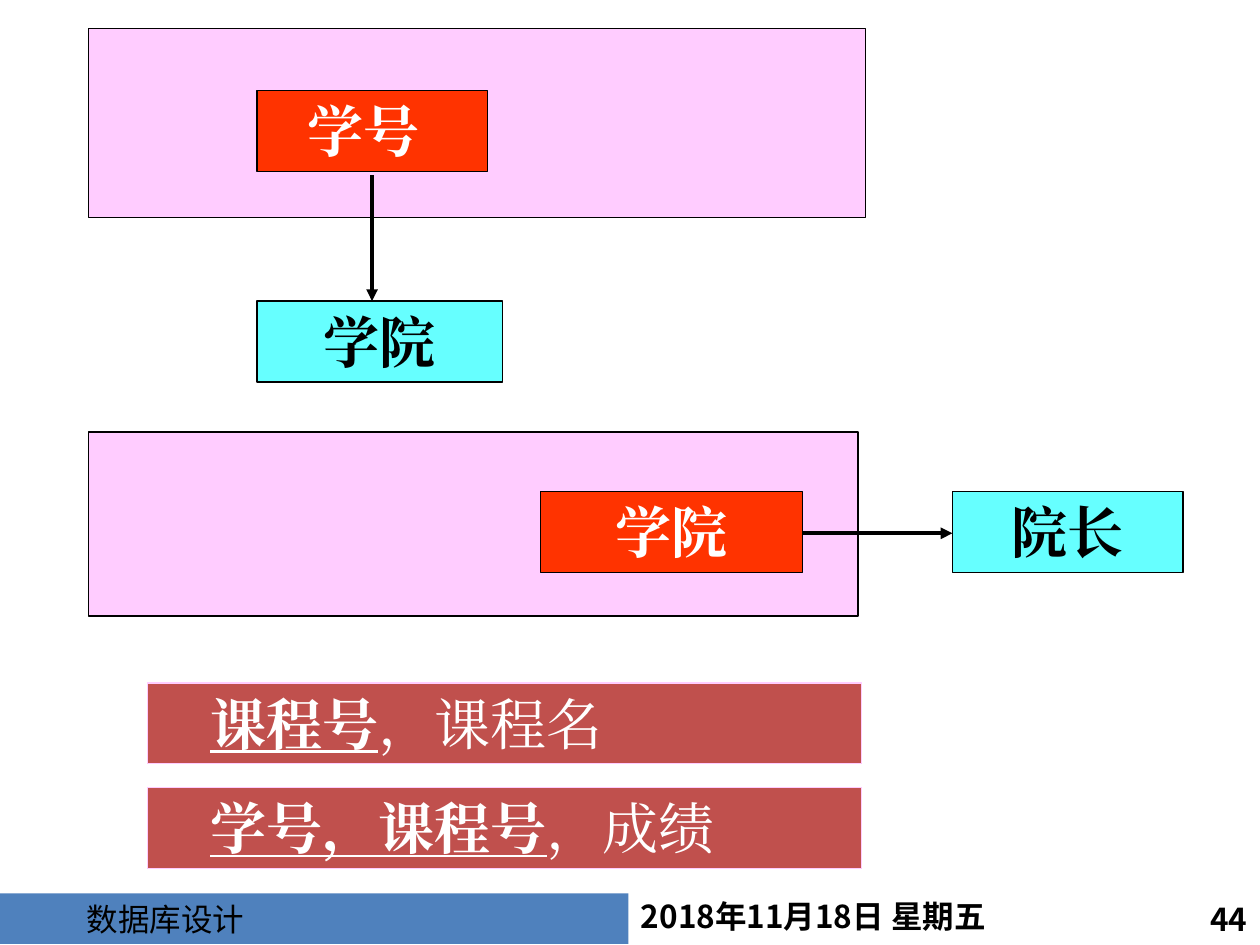
import lxml.etree
import pptx
import pptx.dml.color
import pptx.enum.shapes
import pptx.enum.text
import pptx.oxml.ns
import pptx.util

Cm = pptx.util.Cm
Pt = pptx.util.Pt
qn = pptx.oxml.ns.qn
ALIGN = pptx.enum.text.PP_ALIGN

COLORS = {
    "panel": "FFCCFF",
    "key": "FF3300",
    "dependent": "66FFFF",
    "relation": "C0504D",
    "footer": "4F81BD",
    "black": "000000",
    "white": "FFFFFF",
}
BOX_H = 1.63
BODY = {"name": "Times New Roman", "size": Pt(32)}
FOOTER = {"name": "Noto Sans CJK SC", "size": Pt(18), "bold": True}
FOOTER_TITLE = {"name": "Noto Sans CJK JP", "size": Pt(18), "bold": False}


def rgb(name):
    return pptx.dml.color.RGBColor.from_string(COLORS[name])


class Sheet:
    """Holds the current slide and the way its elements are styled."""

    def __init__(self, slide):
        self.s = slide

    def box(self, x, y, w, h, fill, line="black"):
        sp = self.s.shapes.add_shape(
            pptx.enum.shapes.MSO_SHAPE.RECTANGLE, Cm(x), Cm(y), Cm(w), Cm(h))
        sp.shadow.inherit = False
        sp.fill.solid()
        sp.fill.fore_color.rgb = rgb(fill)
        if line:
            sp.line.color.rgb = rgb(line)
            sp.line.width = Pt(0.75)
        else:
            sp.line.fill.background()
        return sp

    def text(self, sp, runs, style, color="black", align=ALIGN.LEFT, indent=0):
        """Write runs, given as (text, font overrides), into one paragraph."""
        tf = sp.text_frame
        tf.word_wrap = True
        tf.vertical_anchor = pptx.enum.text.MSO_ANCHOR.TOP
        p = tf.paragraphs[0]
        p.alignment = align
        if indent:
            p._p.get_or_add_pPr().set("marL", str(Cm(indent)))
        for content, extra in runs:
            r = p.add_run()
            r.text = content
            for key, value in {**style, **extra}.items():
                setattr(r.font, key, value)
            r.font.color.rgb = rgb(color)
            ea = lxml.etree.SubElement(r._r.get_or_add_rPr(), qn("a:ea"))
            ea.set("typeface", style["name"])

    def label(self, x, y, w, h, content, align=ALIGN.LEFT):
        sp = self.s.shapes.add_textbox(Cm(x), Cm(y), Cm(w), Cm(h))
        self.text(sp, [(content, {})], FOOTER, align=align)

    def attribute(self, x, y, w, content, fill, color, **layout):
        sp = self.box(x, y, w, BOX_H, fill)
        layout = layout or {"align": ALIGN.CENTER}
        self.text(sp, [(content, {"bold": True})], BODY, color, **layout)

    def relation(self, y, key, rest):
        """Bar with the underlined key first, then the other attributes."""
        sp = self.box(2.97, y, 14.4, BOX_H, "relation", "panel")
        runs = [(key, {"bold": True, "underline": True}),
                (rest, {"bold": False, "underline": False})]
        self.text(sp, runs, BODY, "white", indent=1.02)

    def arrow(self, x1, y1, x2, y2):
        c = self.s.shapes.add_connector(
            pptx.enum.shapes.MSO_CONNECTOR.STRAIGHT, Cm(x1), Cm(y1), Cm(x2), Cm(y2))
        c.line.color.rgb = rgb("black")
        c.line.width = Pt(2.25)
        tail = lxml.etree.SubElement(c.line._get_or_add_ln(), qn("a:tailEnd"))
        tail.set("type", "triangle")
        lxml.etree.SubElement(c._element.spPr, qn("a:effectLst"))


def main():
    prs = pptx.Presentation()
    prs.slide_width, prs.slide_height = Cm(25.4), Cm(19.05)
    sheet = Sheet(prs.slides.add_slide(prs.slide_layouts[6]))

    sheet.label(12.67, 17.96, 9.04, 1.02, "2018年11月18日 星期五")
    sheet.label(22.1, 18.01, 3.3, 1.17, "44", ALIGN.RIGHT)
    footer = sheet.box(0, 18.01, 12.67, 1.02, "footer", None)
    sheet.text(footer, [("数据库设计", {})], FOOTER_TITLE, indent=1.5)

    sheet.attribute(5.18, 6.07, 4.95, "学院", "dependent", "black")
    sheet.attribute(19.2, 9.91, 4.65, "院长", "dependent", "black")

    sheet.box(1.78, 0.58, 15.67, 3.81, "panel")
    sheet.arrow(7.5, 3.53, 7.5, 6.07)
    sheet.attribute(5.18, 1.83, 4.65, "学号", "key", "white", indent=0.76)

    sheet.box(1.78, 8.71, 15.52, 3.71, "panel")
    sheet.arrow(16.18, 10.75, 19.2, 10.75)
    sheet.attribute(10.9, 9.91, 5.28, "学院", "key", "white")

    sheet.relation(13.77, "课程号", "，课程名")
    sheet.relation(15.88, "学号，课程号", "，成绩")

    prs.save("out.pptx")


if __name__ == "__main__":
    main()
